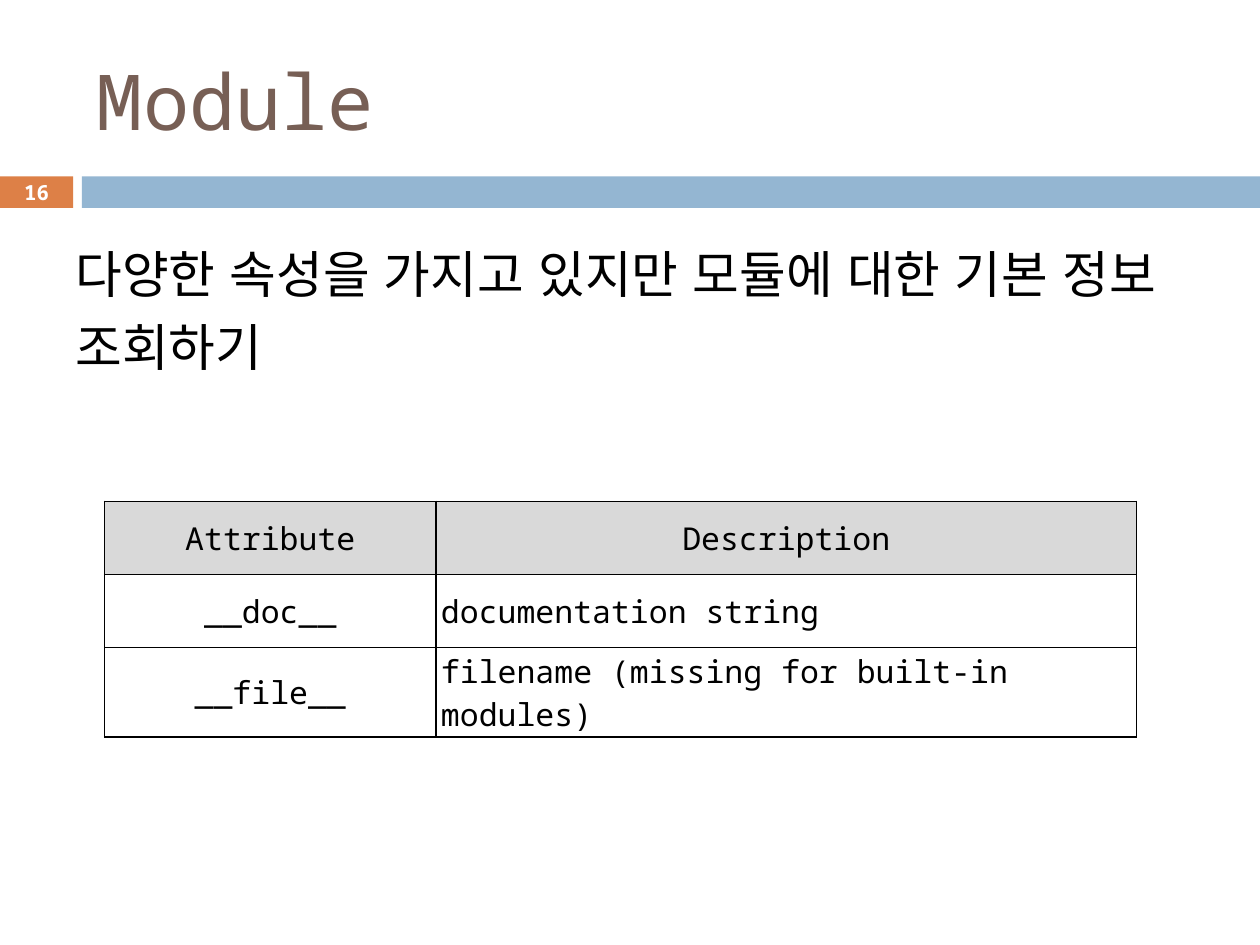
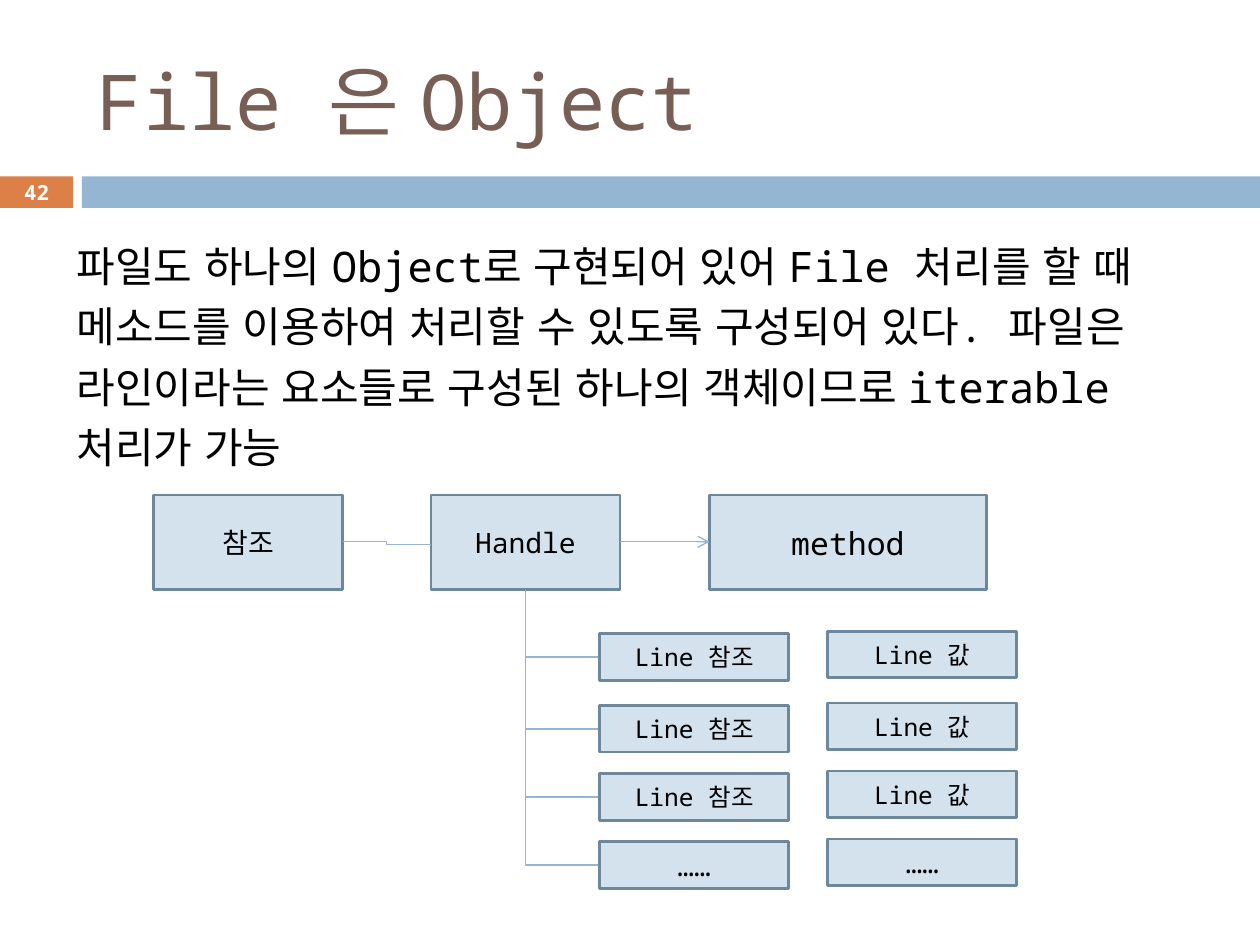
from lxml.etree import SubElement
from pptx import Presentation
from pptx.dml.color import RGBColor
from pptx.enum.lang import MSO_LANGUAGE_ID
from pptx.enum.shapes import MSO_CONNECTOR, MSO_SHAPE
from pptx.enum.text import MSO_ANCHOR, PP_ALIGN
from pptx.oxml.ns import qn
from pptx.util import Inches, Pt

FONT = "Noto Sans Mono"
BLACK = RGBColor(0x00, 0x00, 0x00)
WHITE = RGBColor(0xFF, 0xFF, 0xFF)
BROWN = RGBColor(0x77, 0x5F, 0x55)
ORANGE = RGBColor(0xDD, 0x80, 0x47)
BLUE = RGBColor(0x94, 0xB6, 0xD2)
PALE_BLUE = RGBColor(0xD4, 0xE2, 0xED)
DARK_BLUE = RGBColor(0x6D, 0x87, 0x9B)
HEADER_GRAY = RGBColor(0xD9, 0xD9, 0xD9)

BOX_WIDTH = 1.5
BOX_HEIGHT = 0.75
LINE_HEIGHT = 0.37
FLOW_TOP = 3.93
HANDLE_LEFT = 3.42
REFERENCE_LEFT = 4.76
VALUE_LEFT = 6.57


def write_text(frame, text, size=18, color=BLACK, bold=False,
               align=PP_ALIGN.LEFT, line_spacing=None, space_before=None):
    paragraph = frame.paragraphs[0]
    paragraph.alignment = align
    paragraph.line_spacing = line_spacing
    paragraph.space_before = space_before
    run = paragraph.add_run()
    run.text = text
    font = run.font
    font.name = FONT
    font.size = Pt(size)
    font.bold = bold
    font.color.rgb = color
    font.language_id = MSO_LANGUAGE_ID.KOREAN


def add_text(slide, left, top, width, height, text,
             anchor=MSO_ANCHOR.TOP, **text_format):
    frame = slide.shapes.add_textbox(
        Inches(left), Inches(top), Inches(width), Inches(height)).text_frame
    frame.word_wrap = True
    frame.vertical_anchor = anchor
    write_text(frame, text, **text_format)


def add_rectangle(slide, left, top, width, height, fill, outline=None):
    rectangle = slide.shapes.add_shape(
        MSO_SHAPE.RECTANGLE,
        Inches(left), Inches(top), Inches(width), Inches(height))
    rectangle.shadow.inherit = False
    rectangle.fill.solid()
    rectangle.fill.fore_color.rgb = fill
    if outline is None:
        rectangle.line.fill.background()
    else:
        rectangle.line.color.rgb = outline
        rectangle.line.width = Pt(1.5)
    return rectangle


def add_box(slide, left, top, text, width=BOX_WIDTH, height=BOX_HEIGHT, size=16):
    frame = add_rectangle(slide, left, top, width, height, PALE_BLUE, DARK_BLUE).text_frame
    frame.word_wrap = True
    frame.vertical_anchor = MSO_ANCHOR.MIDDLE
    write_text(frame, text, size=size, align=PP_ALIGN.CENTER)


def add_link(slide, kind, start_x, start_y, end_x, end_y, arrow=False):
    link = slide.shapes.add_connector(
        kind, Inches(start_x), Inches(start_y), Inches(end_x), Inches(end_y))
    link.line.color.rgb = BLUE
    link.line.width = Pt(0.79)
    if arrow:
        SubElement(link.line._get_or_add_ln(), qn("a:tailEnd")).set("type", "arrow")
    SubElement(link._element.spPr, qn("a:effectLst"))
    return link


def add_branch(slide, start_x, start_y, end_x, end_y):
    drop, reach = end_y - start_y, end_x - start_x
    middle_x, middle_y = (start_x + end_x) / 2, (start_y + end_y) / 2
    branch = add_link(slide, MSO_CONNECTOR.ELBOW,
                      middle_x - drop / 2, middle_y - reach / 2,
                      middle_x + drop / 2, middle_y + reach / 2)
    properties = branch._element.spPr
    properties.find(qn("a:prstGeom")).set("prst", "bentConnector2")
    transform = properties.find(qn("a:xfrm"))
    transform.set("rot", str(270 * 60000))
    transform.set("flipH", "1")


def add_cell_borders(cell):
    properties = cell._tc.get_or_add_tcPr()
    for position, side in enumerate(("lnL", "lnR", "lnT", "lnB")):
        border = SubElement(properties, qn(f"a:{side}"))
        border.set("w", str(Pt(1)))
        fill = SubElement(border, qn("a:solidFill"))
        SubElement(fill, qn("a:srgbClr")).set("val", str(BLACK))
        properties.insert(position, border)


def add_attribute_table(slide, rows, row_heights):
    table = slide.shapes.add_table(
        len(rows), 2, Inches(0.83), Inches(3.98),
        Inches(8.19), Inches(sum(row_heights))).table
    table.first_row = False
    table.horz_banding = False
    for column, width in zip(table.columns, (2.63, 5.56)):
        column.width = Inches(width)
    for row_index, (texts, height) in enumerate(zip(rows, row_heights)):
        table.rows[row_index].height = Inches(height)
        for column_index, text in enumerate(texts):
            cell = table.cell(row_index, column_index)
            is_header = row_index == 0
            cell.vertical_anchor = MSO_ANCHOR.MIDDLE
            cell.margin_left = cell.margin_right = Inches(0.04)
            cell.margin_top = cell.margin_bottom = Inches(0.02)
            if is_header:
                cell.fill.solid()
                cell.fill.fore_color.rgb = HEADER_GRAY
            else:
                cell.fill.background()
            add_cell_borders(cell)
            centered = is_header or column_index == 0
            write_text(cell.text_frame, text,
                       align=PP_ALIGN.CENTER if centered else PP_ALIGN.LEFT)


def add_page(deck, title, number):
    slide = deck.slides.add_slide(deck.slide_layouts[6])
    add_rectangle(slide, 0, 1.4, 0.58, 0.25, ORANGE)
    add_rectangle(slide, 0.65, 1.4, 9.35, 0.25, BLUE)
    add_text(slide, 0.67, 0.25, 8.92, 1.08, title,
             anchor=MSO_ANCHOR.MIDDLE, size=44, color=BROWN)
    add_text(slide, 0, 1.39, 0.58, 0.27, number, anchor=MSO_ANCHOR.MIDDLE,
             size=11.9, color=WHITE, bold=True, align=PP_ALIGN.CENTER)
    return slide


def add_body(slide, left, height, text, size):
    add_text(slide, left, 1.78, 9, height, text,
             size=size, line_spacing=1.2, space_before=Pt(7))


def build_module_page(deck):
    slide = add_page(deck, "Module", "16")
    add_body(slide, 0.5, 1.57,
             "다양한 속성을 가지고 있지만 모듈에 대한 기본 정보 조회하기", 29)
    add_attribute_table(slide, [
        ("Attribute", "Description"),
        ("__doc__", "documentation string"),
        ("__file__", "filename (missing for built-in modules)"),
    ], (0.58, 0.58, 0.71))


def build_file_object_page(deck):
    slide = add_page(deck, "File 은 Object", "42")
    add_body(slide, 0.51, 1.73,
             "파일도 하나의 Object로 구현되어 있어 File 처리를 할 때 "
             "메소드를 이용하여 처리할 수 있도록 구성되어 있다. 파일은 "
             "라인이라는 요소들로 구성된 하나의 객체이므로 iterable "
             "처리가 가능", 24)

    add_box(slide, 1.22, FLOW_TOP, "참조")
    add_box(slide, HANDLE_LEFT, FLOW_TOP, "Handle")
    add_box(slide, 5.63, FLOW_TOP, "method", width=2.2, size=18)
    add_link(slide, MSO_CONNECTOR.ELBOW, 2.72, 4.3, HANDLE_LEFT, 4.32)
    add_link(slide, MSO_CONNECTOR.STRAIGHT, 4.92, 4.3, 5.63, 4.3, arrow=True)

    trunk_x = HANDLE_LEFT + BOX_WIDTH / 2
    trunk_top = FLOW_TOP + BOX_HEIGHT
    line_rows = [(top, "Line 참조", "Line 값", 14) for top in (5.03, 5.6, 6.14)]
    line_rows.append((6.68, "……", "……", 16))
    for top, reference, value, size in line_rows:
        add_branch(slide, trunk_x, trunk_top, REFERENCE_LEFT, top + LINE_HEIGHT / 2)
        add_box(slide, REFERENCE_LEFT, top, reference, height=LINE_HEIGHT, size=size)
        add_box(slide, VALUE_LEFT, top - 0.02, value, height=LINE_HEIGHT, size=size)


def main():
    deck = Presentation()
    deck.slide_width = Inches(10)
    deck.slide_height = Inches(7.5)
    build_module_page(deck)
    build_file_object_page(deck)
    deck.save("out.pptx")


if __name__ == "__main__":
    main()
